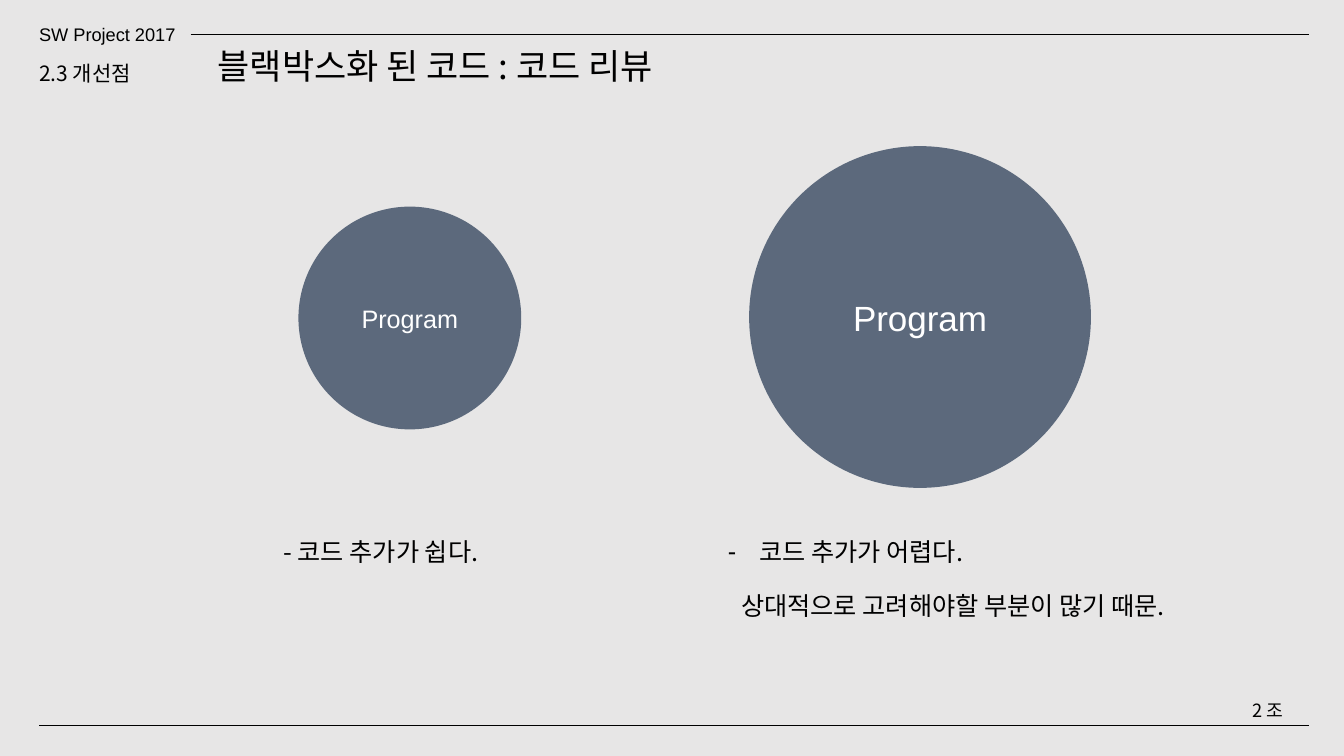
from lxml import etree
from pptx import Presentation
from pptx.dml.color import RGBColor
from pptx.enum.shapes import MSO_CONNECTOR, MSO_SHAPE
from pptx.enum.text import MSO_ANCHOR, MSO_AUTO_SIZE, PP_ALIGN
from pptx.oxml.ns import qn
from pptx.util import Inches, Pt

STRAIGHT = MSO_CONNECTOR.STRAIGHT
OVAL = MSO_SHAPE.OVAL
TOP, MIDDLE = MSO_ANCHOR.TOP, MSO_ANCHOR.MIDDLE
NO_FIT = MSO_AUTO_SIZE.NONE
LEFT, CENTER = PP_ALIGN.LEFT, PP_ALIGN.CENTER
KOREAN, LATIN = "Noto Sans CJK KR", "Arial"


def rgb(value):
    return RGBColor.from_string(value)


def style(paragraph, size, face, color="000000", align=LEFT):
    paragraph.alignment = align
    font = paragraph.font
    font.size = Pt(size)
    font.name = face
    font.color.rgb = rgb(color)
    defaults = paragraph._p.pPr.find(qn("a:defRPr"))
    etree.SubElement(defaults, qn("a:ea"), typeface=face)


prs = Presentation()
prs.slide_width, prs.slide_height = Inches(13.33), Inches(7.5)
slide = prs.slides.add_slide(prs.slide_layouts[3])
slide.background.fill.solid()
slide.background.fill.fore_color.rgb = rgb("E7E6E6")

# Title
title = slide.shapes.title
title.left, title.top = Inches(2.06), Inches(0.39)
title.width, title.height = Inches(6.21), Inches(0.52)
title.text_frame.text = "블랙박스화 된 코드 : 코드 리뷰"
title.text_frame.vertical_anchor = TOP
title.text_frame.auto_size = NO_FIT
style(title.text_frame.paragraphs[0], 25, KOREAN)

# Header and footer rules
for start, y in [(1.89, 0.34), (0.39, 7.2)]:
    rule = slide.shapes.add_connector(STRAIGHT, Inches(start), Inches(y), Inches(12.98), Inches(y))
    rule.line.color.rgb = rgb("000000")
    rule.line.width = Pt(0.5)
    etree.SubElement(rule._element.spPr, qn("a:effectLst"))

# Course, section and team labels
labels = [
    ("SW Project 2017", 0.29, 0.18, 1.6, 0.32, 13, LATIN),
    ("2.3 개선점", 0.29, 0.55, 1.77, 0.35, 15, KOREAN),
    ("2 조", 12.32, 6.89, 0.66, 0.32, 13, KOREAN),
]
for text, x, y, width, height, size, face in labels:
    label = slide.shapes.add_textbox(Inches(x), Inches(y), Inches(width), Inches(height))
    label.text_frame.word_wrap = True
    label.text_frame.text = text
    style(label.text_frame.paragraphs[0], size, face)

# Small and large program
for x, y, diameter, size in [(2.96, 2.05, 2.21, 18), (7.43, 1.45, 3.39, 25)]:
    program = slide.shapes.add_shape(OVAL, Inches(x), Inches(y), Inches(diameter), Inches(diameter))
    program.shadow.inherit = False
    program.fill.solid()
    program.fill.fore_color.rgb = rgb("44546A")
    fill_color = program._element.spPr.find(qn("a:solidFill"))[0]
    etree.SubElement(fill_color, qn("a:alpha"), val="85000")
    program.line.fill.background()
    program.text_frame.text = "Program"
    program.text_frame.vertical_anchor = MIDDLE
    style(program.text_frame.paragraphs[0], size, LATIN, "FFFFFF", CENTER)

# Remarks: (text, bullet, left margin, first-line indent, space before)
remarks = [
    (1, 2.71, 3.7, 0.4, [("- 코드 추가가 쉽다.", None, 0, 0, 0)]),
    (2, 7.12, 5.01, 1.01, [
        ("코드 추가가 어렵다.", "-", 0.31, -0.31, 0),
        ("상대적으로 고려해야할 부분이 많기 때문.", None, 0.13, 0, 17),
    ]),
]
for index, x, width, height, lines in remarks:
    remark = slide.placeholders[index]
    remark.left, remark.top = Inches(x), Inches(5.27)
    remark.width, remark.height = Inches(width), Inches(height)
    frame = remark.text_frame
    frame.auto_size = NO_FIT
    frame.text = "\n".join(line[0] for line in lines)
    for paragraph, (_, bullet, margin, indent, before) in zip(frame.paragraphs, lines):
        props = paragraph._p.get_or_add_pPr()
        props.set("marL", str(Inches(margin)))
        props.set("indent", str(Inches(indent)))
        if bullet:
            etree.SubElement(props, qn("a:buChar"), char=bullet)
        else:
            etree.SubElement(props, qn("a:buNone"))
        paragraph.space_before = Pt(before)
        style(paragraph, 18, KOREAN)

prs.save("out.pptx")
